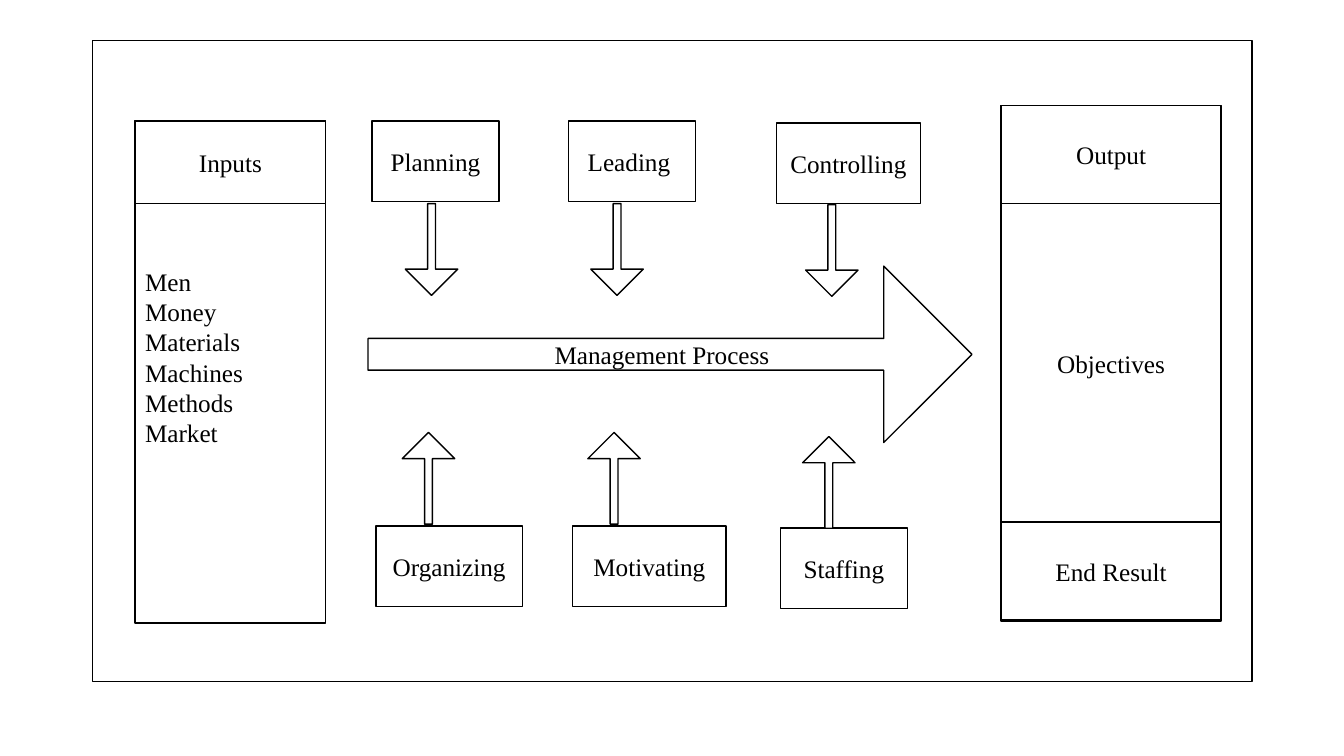
"""Diagram of the management process: inputs, six functions and output."""
from pptx import Presentation
from pptx.dml.color import RGBColor
from pptx.enum.shapes import MSO_SHAPE
from pptx.enum.text import MSO_ANCHOR, PP_ALIGN
from pptx.util import Inches, Pt

COLORS = {"paper": "FFFFFF", "ink": "000000"}
FONT = "Times New Roman"
CELL = Inches(0.1)
COLUMNS, ROWS = 133.3, 75

INPUT_COL, INPUT_ROW, INPUT_COLS = 13.4, 12, 18.9
OUTPUT_COL, OUTPUT_ROW, OUTPUT_COLS, OUTPUT_BAND = 99.3, 10.5, 21.8, 9.7
TOP_ROW, BOTTOM_ROW, BOX_ROWS = 12, 52.2, 8
DOWN_ROW, UP_ROW, ARROW_COLS, ARROW_ROWS = 20.2, 42.9, 5.2, 9.1
BOTTOM_SHIFT, UP_SHIFT = 0.4, -0.3

INPUTS = ["Men", "Money", "Materials", "Machines", "Methods", "Market"]
# Each stage: column, row drop, arrow column, (top label, columns), (bottom label, columns)
STAGES = [
    (36.9, 0, 40.2, ("Planning", 12.6), ("Organizing", 14.5)),
    (56.4, 0, 58.6, ("Leading ", 12.6), ("Motivating", 15.2)),
    (77, 0.2, 79.9, ("Controlling", 14.3), ("Staffing", 12.6)),
]


def cells(count):
    return round(count * CELL)


def add_outline(slide, kind, col, row, cols, rows):
    sp = slide.shapes.add_shape(kind, *map(cells, (col, row, cols, rows)))
    sp.shadow.inherit = False
    sp.fill.solid()
    sp.fill.fore_color.rgb = RGBColor.from_string(COLORS["paper"])
    sp.line.color.rgb = RGBColor.from_string(COLORS["ink"])
    sp.line.width = Pt(1)
    return sp


def write(sp, text, align=PP_ALIGN.CENTER):
    tf = sp.text_frame
    tf.word_wrap = True
    tf.vertical_anchor = MSO_ANCHOR.MIDDLE
    tf.text = text
    for p in tf.paragraphs:
        p.alignment = align
        for r in p.runs:
            r.font.name = FONT
            r.font.size = Pt(18)
            r.font.color.rgb = RGBColor.from_string(COLORS["ink"])


def add_box(slide, text, col, row, cols, rows):
    write(add_outline(slide, MSO_SHAPE.RECTANGLE, col, row, cols, rows), text)


def add_stage_arrow(slide, col, row, rotation=0):
    sp = add_outline(slide, MSO_SHAPE.DOWN_ARROW, col, row, ARROW_COLS, ARROW_ROWS)
    sp.adjustments[0] = 0.15
    sp.rotation = rotation


def add_inputs(slide):
    sp = add_outline(slide, MSO_SHAPE.RECTANGLE, INPUT_COL, INPUT_ROW, INPUT_COLS, 49.8)
    write(sp, "\n".join(INPUTS), PP_ALIGN.LEFT)
    sp.text_frame.margin_bottom = cells(3.5)
    add_box(slide, "Inputs", INPUT_COL, INPUT_ROW, INPUT_COLS, 8.2)


def add_output(slide):
    for text, row, rows in (("Objectives", OUTPUT_ROW, 51.1),
                            ("Output", OUTPUT_ROW, OUTPUT_BAND),
                            ("End Result", 51.8, OUTPUT_BAND)):
        add_box(slide, text, OUTPUT_COL, row, OUTPUT_COLS, rows)


def add_process(slide):
    sp = add_outline(slide, MSO_SHAPE.RIGHT_ARROW, 36.5, 26.4, 59.9, 17.5)
    sp.adjustments[0] = 0.18
    write(sp, "Management Process")


def add_stage(slide, col, drop, arrow_col, top, bottom):
    for (text, cols), shift, row in ((top, 0, TOP_ROW),
                                     (bottom, BOTTOM_SHIFT, BOTTOM_ROW)):
        add_box(slide, text, col + shift, row + drop, cols, BOX_ROWS)
    add_stage_arrow(slide, arrow_col, DOWN_ROW + drop / 2)
    add_stage_arrow(slide, arrow_col + UP_SHIFT, UP_ROW + 2 * drop, 180)


def main():
    prs = Presentation()
    prs.slide_width, prs.slide_height = cells(COLUMNS), cells(ROWS)
    slide = prs.slides.add_slide(prs.slide_layouts[6])
    add_outline(slide, MSO_SHAPE.RECTANGLE, 9.2, 4, 115, 63.6)
    add_inputs(slide)
    add_output(slide)
    add_process(slide)
    for stage in STAGES:
        add_stage(slide, *stage)
    prs.save("out.pptx")


if __name__ == "__main__":
    main()
